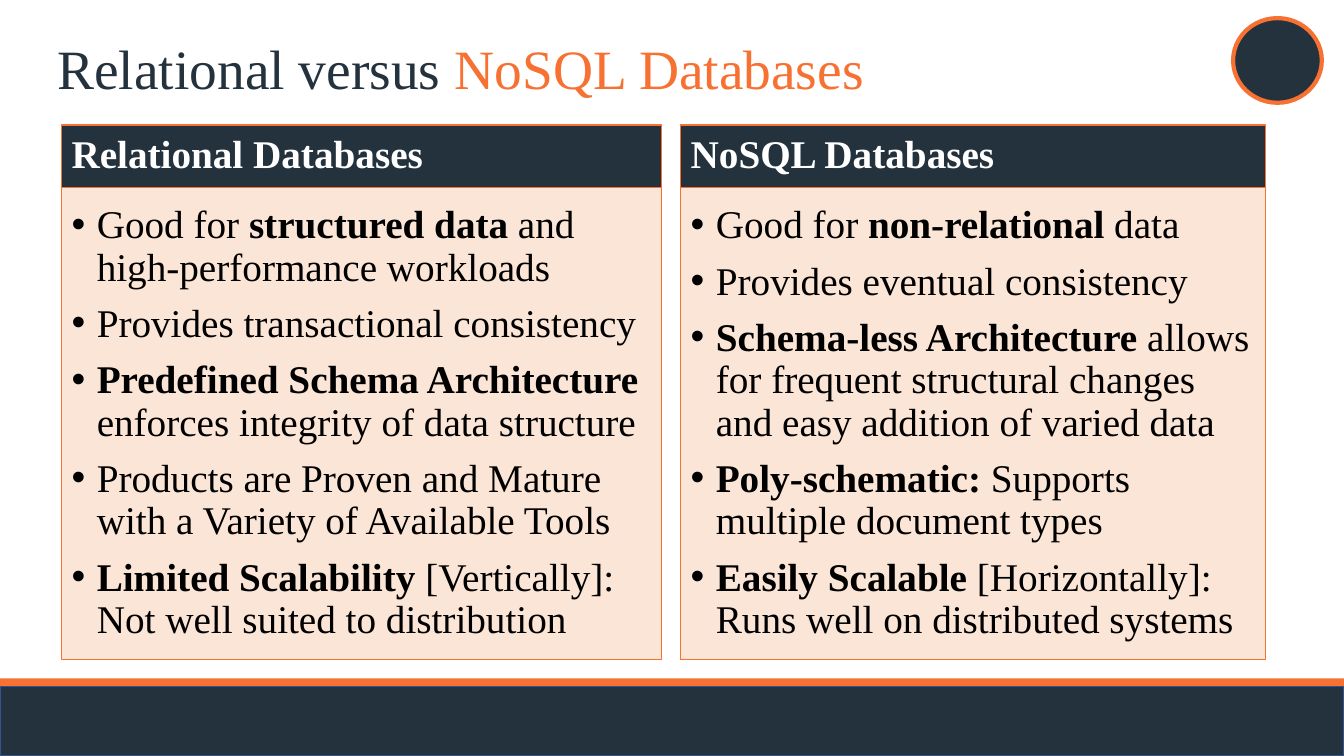
from pptx import Presentation
from pptx.dml.color import RGBColor
from pptx.enum.shapes import MSO_SHAPE as SHAPE
from pptx.enum.text import MSO_ANCHOR as ANCHOR, MSO_AUTO_SIZE as AUTO, PP_ALIGN as ALIGN
from pptx.oxml.ns import qn
from pptx.util import Inches, Pt
from lxml import etree

NAVY = RGBColor(0x24, 0x32, 0x3E)
ORANGE = RGBColor(0xF6, 0x71, 0x32)
PEACH = RGBColor(0xFB, 0xE5, 0xD6)
BLUE = RGBColor(0x32, 0x54, 0x91)
WHITE = RGBColor(0xFF, 0xFF, 0xFF)
BLACK = RGBColor(0x00, 0x00, 0x00)
FONT = "Times New Roman"

RELATIONAL = [
    "Good for *structured data *and high-performance workloads",
    "Provides transactional consistency",
    "*Predefined Schema Architecture *enforces integrity of data structure",
    "Products are Proven and Mature with a Variety of Available Tools",
    "*Limited Scalability *[Vertically]: Not well suited to distribution",
]
NOSQL = [
    "Good for *non-relational* data",
    "Provides eventual consistency",
    "*Schema-less Architecture *allows for frequent structural changes and easy addition of varied data",
    "*Poly-schematic:* Supports multiple document types",
    "*Easily Scalable *[Horizontally]: Runs well on distributed systems",
]


def place(sp, x, y, w, h):
    sp.left, sp.top, sp.width, sp.height = (Inches(v) for v in (x, y, w, h))


def paint(sp, fill, line=None, width=0.75):
    sp.fill.solid()
    sp.fill.fore_color.rgb = fill
    if line is None:
        sp.line.fill.background()
    else:
        sp.line.color.rgb = line
        sp.line.width = Pt(width)


def add_bullet(p):
    pPr = p._p.get_or_add_pPr()
    pPr.set("marL", str(Inches(0.25)))
    pPr.set("indent", str(-Inches(0.25)))
    etree.SubElement(pPr, qn("a:buFont")).set("typeface", "Arial")
    etree.SubElement(pPr, qn("a:buChar")).set("char", "•")


def write(sp, lines, size=28, color=BLACK, accent=None, bold=False, before=10, bullet=False):
    tf = sp.text_frame
    tf.word_wrap = True
    tf.auto_size = AUTO.NONE
    tf.vertical_anchor = ANCHOR.MIDDLE
    for i, line in enumerate(lines):
        p = tf.add_paragraph() if i else tf.paragraphs[0]
        p.alignment = ALIGN.LEFT
        p.line_spacing = 0.9
        p.space_before = Pt(before)
        if bullet:
            add_bullet(p)
        for j, part in enumerate(line.split("*")):
            if not part:
                continue
            marked = j % 2 == 1
            r = p.add_run()
            r.text = part
            r.font.name = FONT
            r.font.size = Pt(size)
            r.font.bold = bold or (marked and accent is None)
            r.font.color.rgb = accent if marked and accent else color


def add_decor(slide, kind, box, fill, line=None, width=1):
    sp = slide.shapes.add_shape(kind, *(Inches(v) for v in box))
    sp.shadow.inherit = False
    paint(sp, fill, line, width)


def add_frame(slide, w, h):
    add_decor(slide, SHAPE.RECTANGLE, (0, h - 0.77, w, 0.28), ORANGE)
    add_decor(slide, SHAPE.RECTANGLE, (0, h - 0.69, w, 0.69), NAVY, BLUE)
    add_decor(slide, SHAPE.OVAL, (w - 1.1, 0.18, 0.88, 0.84), NAVY, ORANGE, 3)


def add_title(sp, text, x, y, w, h):
    place(sp, x, y, w, h)
    write(sp, [text], size=39.6, color=NAVY, accent=ORANGE, before=0)


def add_column(header, body, heading, points, x, y, w, h):
    head_h = 0.62
    place(header, x, y, w, head_h)
    paint(header, NAVY, ORANGE)
    write(header, [heading], color=WHITE, bold=True)
    place(body, x, y + head_h, w, h - head_h)
    paint(body, PEACH, ORANGE)
    write(body, points, bullet=True)


def main():
    prs = Presentation()
    w, h = 13.33, 7.5
    prs.slide_width, prs.slide_height = Inches(w), Inches(h)
    slide = prs.slides.add_slide(prs.slide_layouts.get_by_name("Comparison"))
    title, head_l, body_l, head_r, body_r = slide.placeholders
    add_frame(slide, w, h)
    add_column(head_l, body_l, "Relational Databases", RELATIONAL, 0.61, 1.24, 5.95, 5.3)
    add_column(head_r, body_r, "NoSQL Databases", NOSQL, 6.75, 1.24, 5.8, 5.3)
    add_title(title, "Relational versus *NoSQL Databases*", 0.47, 0.4, 11.23, 0.62)
    prs.save("out.pptx")


if __name__ == "__main__":
    main()
